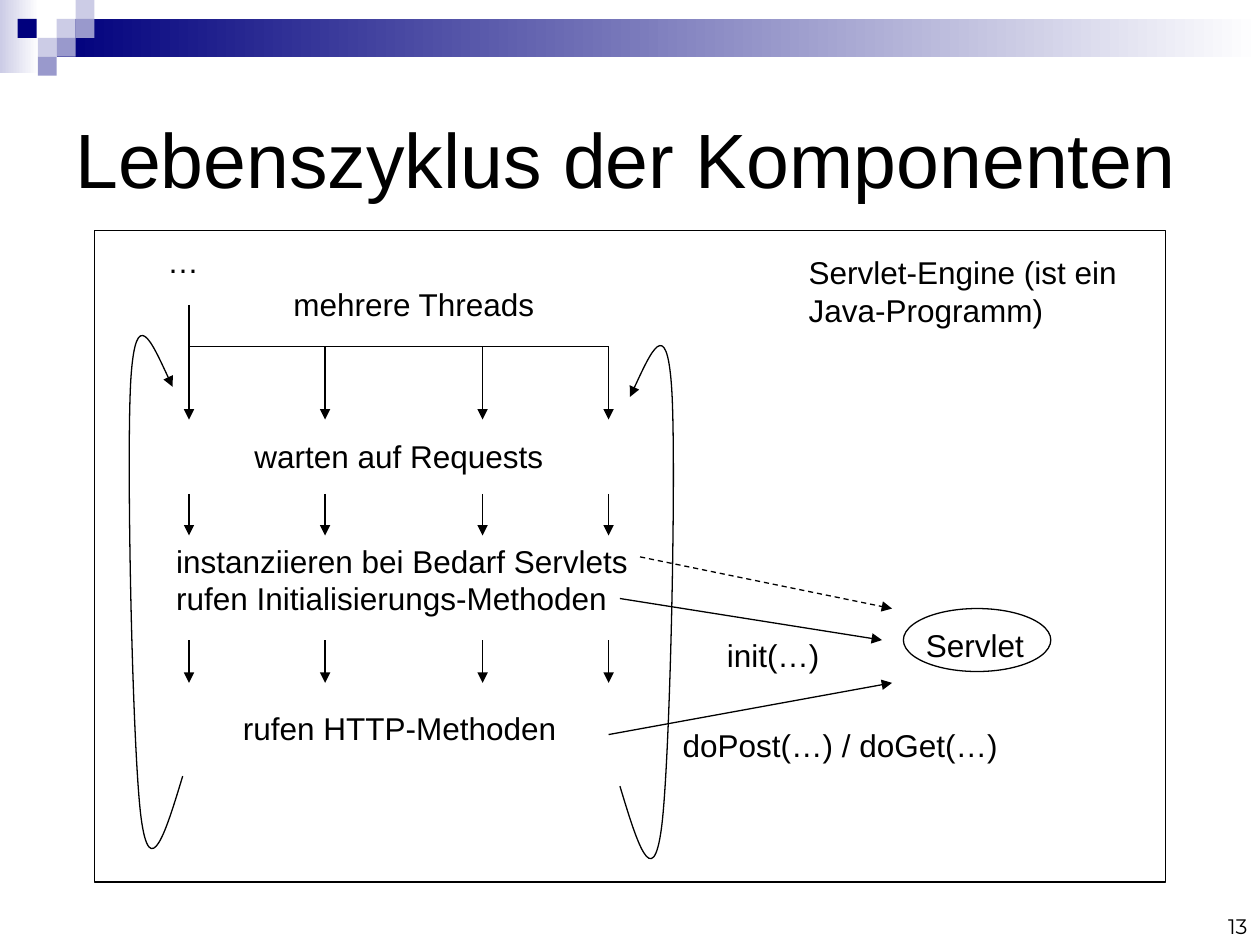
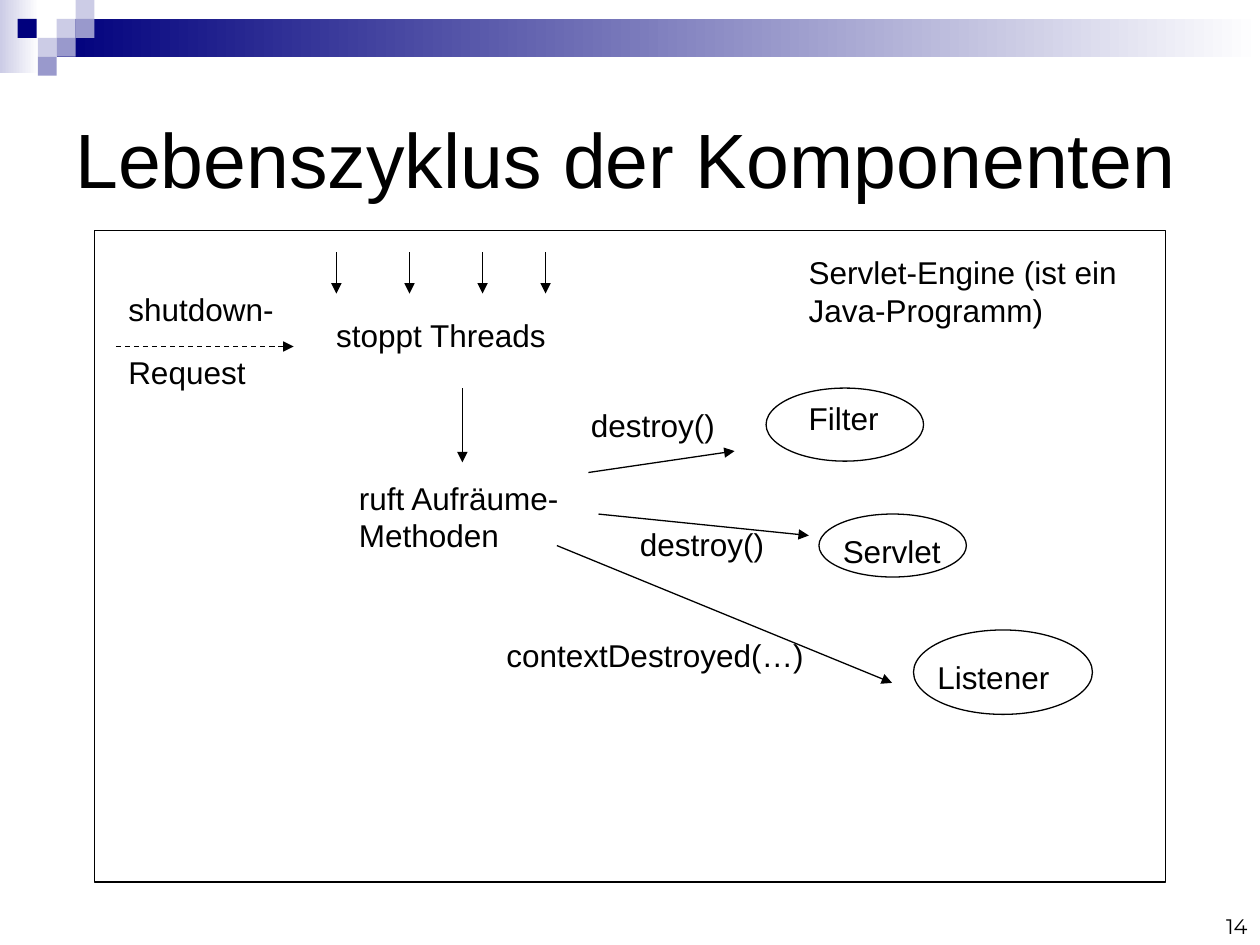
from lxml import etree
from pptx import Presentation
from pptx.dml.color import RGBColor
from pptx.enum.dml import MSO_LINE
from pptx.enum.shapes import MSO_CONNECTOR, MSO_SHAPE
from pptx.enum.text import MSO_ANCHOR, PP_ALIGN
from pptx.oxml.ns import qn
from pptx.util import Inches, Pt

RECT, ELLIPSE = MSO_SHAPE.RECTANGLE, MSO_SHAPE.OVAL
STRAIGHT, DASH = MSO_CONNECTOR.STRAIGHT, MSO_LINE.DASH
TOP, MIDDLE, BOTTOM = MSO_ANCHOR.TOP, MSO_ANCHOR.MIDDLE, MSO_ANCHOR.BOTTOM
LEFT, RIGHT = PP_ALIGN.LEFT, PP_ALIGN.RIGHT

COLORS = {"ink": "000000", "paper": "FFFFFF", "navy": "00007D",
          "mid": "9999CC", "pale": "CCCCE6"}
TITLE = "Lebenszyklus der Komponenten"
FRAME = (0.75, 1.83, 8.5, 5.17)
ENGINE = (6.32, 1.96, 2.64, "Servlet-Engine (ist ein\nJava-Programm)")

BANDS = [((0, 0, 0.31, 0.58), "pale"), ((0.45, 0.15, 9.55, 0.3), "navy")]
TILE = 0.15
TILES = [(0.45, 0.15, "pale"), (0.6, 0, "pale"), (0.6, 0.15, "mid"),
         (0.3, 0.3, "pale"), (0.14, 0.15, "navy"), (0.45, 0.3, "mid"),
         (0.3, 0.45, "mid")]

THREADS = [1.5, 2.58, 3.83, 4.83]
THREAD_STEPS = [(2.75, 3.33), (3.92, 4.25), (5.08, 5.42)]
STOPPED_THREADS = [2.67, 3.25, 3.83, 4.33]
RIGHT_LOOP = [(4.92, 6.24), (5.05, 6.67), (5.18, 7.1), (5.25, 6.57), (5.32, 6.04),
              (5.37, 3.64), (5.33, 3.07), (5.29, 2.5), (5.15, 2.83), (5, 3.15)]
LEFT_LOOP = [(6.37 - x, y - 0.08) for x, y in RIGHT_LOOP]

SLIDES = [
    {
        "number": "13",
        "loops": [RIGHT_LOOP, LEFT_LOOP],
        "labels": [
            (1.23, 1.87, 0.45, "…"),
            (2.23, 2.21, 2.11, "mehrere Threads"),
            (7.25, 4.92, 0.98, "Servlet"),
            (5.67, 5, 0.93, "init(…)"),
            (5.32, 5.71, 2.7, "doPost(…) / doGet(…)"),
        ],
        "steps": [
            (1.92, 3.42, 2.49, "warten auf Requests"),
            (1.3, 4.25, 3.78, "instanziieren bei Bedarf Servlets\n"
                              "rufen Initialisierungs-Methoden"),
            (1.83, 5.58, 2.68, "rufen HTTP-Methoden"),
        ],
        "components": [(7.17, 4.83, 1.17, 0.5)],
        "rails": [(THREADS[0], 2.75, THREADS[-1], 2.75)],
        "arrows": [(THREADS[0], 2.42, THREADS[0], 3.33)]
        + [(x, top, x, bottom) for top, bottom in THREAD_STEPS for x in THREADS
           if (x, top) != (THREADS[0], 2.75)]
        + [(4.92, 4.75, 7, 5.08), (4.83, 5.83, 7.08, 5.42)],
        "dashed": [(5.08, 4.42, 7.08, 4.83)],
    },
    {
        "number": "14",
        "loops": [],
        "labels": [
            (0.92, 2.25, 1.35, "shutdown-"),
            (0.92, 2.75, 1.13, "Request"),
            (2.57, 2.46, 1.87, "stoppt Threads"),
            (2.75, 3.75, 1.8, "ruft Aufräume-\nMethoden"),
            (6.59, 4.17, 0.98, "Servlet"),
            (7.34, 5.17, 1.09, "Listener"),
            (6.32, 3.12, 0.75, "Filter"),
            (4.98, 4.12, 1.18, "destroy()"),
            (3.92, 5, 2.56, "contextDestroyed(…)"),
            (4.59, 3.17, 1.18, "destroy()"),
        ],
        "steps": [],
        "components": [(6.5, 4.08, 1.17, 0.5), (7.25, 5, 1.42, 0.67),
                       (6.08, 3.08, 1.25, 0.58)],
        "rails": [],
        "arrows": [(x, 2, x, 2.33) for x in STOPPED_THREADS]
        + [(3.67, 3.08, 3.67, 3.67), (4.67, 3.75, 5.83, 3.58),
           (4.75, 4.08, 6.42, 4.25), (4.42, 4.33, 7.08, 5.42)],
        "dashed": [(0.92, 2.75, 2.33, 2.75)],
    },
]


def rgb(name):
    return RGBColor.from_string(COLORS[name])


def add_panel(slide, kind, box, fill=None, outlined=False):
    panel = slide.shapes.add_shape(kind, *map(Inches, box))
    panel.shadow.inherit = False
    if fill:
        panel.fill.solid()
        panel.fill.fore_color.rgb = rgb(fill)
    else:
        panel.fill.background()
    if outlined:
        ink_line(panel.line)
    else:
        panel.line.fill.background()
    return panel


def ink_line(line):
    line.color.rgb = rgb("ink")
    line.width = Pt(0.75)


def add_arrowhead(line):
    etree.SubElement(line._get_or_add_ln(), qn("a:tailEnd"), type="triangle")


def write(box, text, size=18, font="Arial", anchor=TOP, align=LEFT, right_inset=0):
    frame = box.text_frame
    frame.text = text
    frame.word_wrap = True
    frame.margin_right = Inches(right_inset)
    frame.vertical_anchor = anchor
    for paragraph in frame.paragraphs:
        paragraph.alignment = align
        for run in paragraph.runs:
            run.font.size = Pt(size)
            run.font.name = font
            run.font.color.rgb = rgb("ink")


def add_text(slide, box, text, **style):
    write(slide.shapes.add_textbox(*map(Inches, box)), text, **style)


def label_box(left, top, width, text):
    return left, top, width, 0.1 + 0.3 * len(text.split("\n"))


def add_line(slide, ends, arrow=True, dashed=False):
    connector = slide.shapes.add_connector(STRAIGHT, *map(Inches, ends))
    ink_line(connector.line)
    if dashed:
        connector.line.dash_style = DASH
    if arrow:
        add_arrowhead(connector.line)
    etree.SubElement(connector._element.spPr, qn("a:effectLst"))


def add_loop(slide, points):
    start, *rest = [(Inches(x), Inches(y)) for x, y in points]
    builder = slide.shapes.build_freeform(*start)
    builder.add_line_segments(rest, close=False)
    loop = builder.convert_to_shape()
    loop.shadow.inherit = False
    loop.fill.background()
    ink_line(loop.line)
    add_arrowhead(loop.line)
    segments = list(loop._element.iter(qn("a:lnTo")))
    outline = segments[0].getparent()
    for i in range(0, len(segments), 3):
        curve = etree.SubElement(outline, qn("a:cubicBezTo"))
        for segment in segments[i:i + 3]:
            curve.append(segment[0])
            outline.remove(segment)


def add_common(slide, number):
    for box, color in BANDS:
        band = add_panel(slide, RECT, box)
        band.fill.gradient()
        band.fill.gradient_angle = 0
        for stop, name in zip(band.fill.gradient_stops, (color, "paper")):
            stop.color.rgb = rgb(name)
    for left, top, color in TILES:
        add_panel(slide, RECT, (left, top, TILE, TILE), color)
    add_text(slide, (0.5, 0.5, 9, 1.5), TITLE, size=44, anchor=MIDDLE)
    add_panel(slide, RECT, FRAME, outlined=True)
    add_text(slide, label_box(*ENGINE), ENGINE[-1])
    add_text(slide, (7.67, 7, 2.33, 0.5), number, size=12, font="Montserrat",
             anchor=BOTTOM, align=RIGHT, right_inset=0.1)


def main():
    deck = Presentation()
    deck.slide_width, deck.slide_height = Inches(10), Inches(7.5)
    for content in SLIDES:
        slide = deck.slides.add_slide(deck.slide_layouts[6])
        add_common(slide, content["number"])
        for points in content["loops"]:
            add_loop(slide, points)
        for step in content["steps"]:
            write(add_panel(slide, RECT, label_box(*step), "paper"), step[-1])
        for label in content["labels"]:
            add_text(slide, label_box(*label), label[-1])
        for box in content["components"]:
            add_panel(slide, ELLIPSE, box, outlined=True)
        for ends in content["rails"]:
            add_line(slide, ends, arrow=False)
        for ends in content["arrows"]:
            add_line(slide, ends)
        for ends in content["dashed"]:
            add_line(slide, ends, dashed=True)
    deck.save("out.pptx")


if __name__ == "__main__":
    main()
